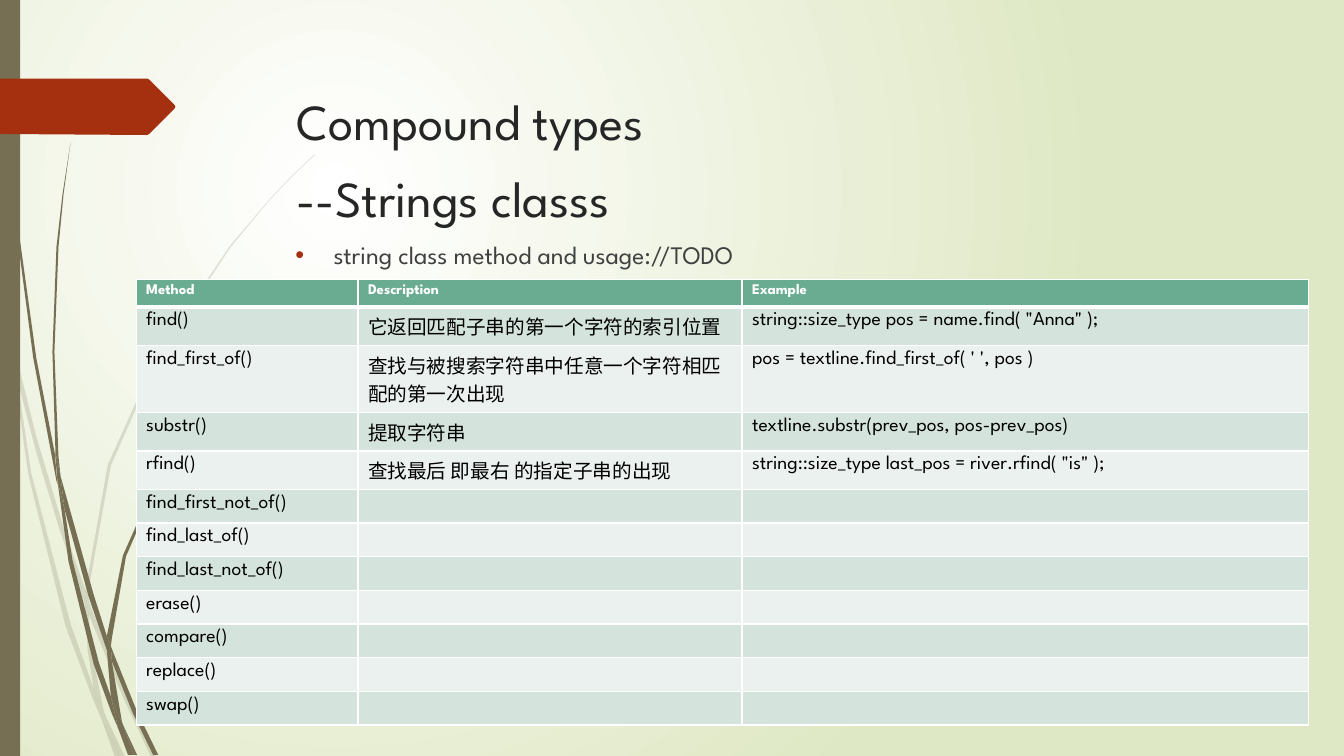
from lxml import etree
from pptx import Presentation
from pptx.dml.color import RGBColor
from pptx.enum.shapes import MSO_SHAPE
from pptx.enum.text import MSO_ANCHOR, PP_ALIGN
from pptx.oxml.ns import qn
from pptx.util import Pt

PX = 9144  # 100 px to the inch
FONT = "League Spartan"
RECT, TOP, LEFT = MSO_SHAPE.RECTANGLE, MSO_ANCHOR.TOP, PP_ALIGN.LEFT

WHITE = RGBColor(0xFF, 0xFF, 0xFF)
BLACK = RGBColor(0, 0, 0)
PALE_GREEN = RGBColor(0xDF, 0xE8, 0xC4)
OLIVE = RGBColor(0x76, 0x6F, 0x54)
RUST = RGBColor(0xA5, 0x30, 0x10)
TITLE_GREY = RGBColor(0x26, 0x26, 0x26)
BODY_GREY = RGBColor(0x40, 0x40, 0x40)
HEADER_GREEN = RGBColor(0x6A, 0xAC, 0x91)
BANDS = (RGBColor(0xD4, 0xE3, 0xDC), RGBColor(0xEB, 0xF1, 0xEE))

# Outlines of the grass blades, in px
FAINT_GRASS = [
    [(11, 350), (9, 322), (0, 282), (0, 299), (10, 344)],
    [(58, 522), (84, 599), (85, 586), (62, 520), (36, 433), (14, 345), (17, 376), (36, 449)],
    [(92, 607), (88, 596), (88, 610), (123, 694), (150, 751), (155, 751), (127, 692)],
    [(119, 751), (124, 751), (105, 711)],
    [(93, 683), (70, 619), (31, 469), (17, 376), (11, 350), (28, 470), (65, 621), (92, 693),
     (101, 714), (99, 707)],
    [(84, 599), (87, 646), (93, 683), (96, 692), (105, 711), (103, 706), (91, 646), (88, 610),
     (88, 608)],
    [(88, 584), (110, 462), (160, 349), (229, 245), (268, 198), (290, 175), (312, 154),
     (312, 153), (289, 175), (268, 197), (228, 244), (158, 348), (107, 461), (85, 584),
     (85, 586), (88, 596)],
    [(101, 714), (114, 751), (119, 751)],
    [(88, 608), (88, 610), (88, 596), (85, 586), (84, 599)],
    [(96, 692), (93, 683), (99, 707), (101, 714), (119, 751), (105, 711)],
]
DARK_GRASS = [
    [(7, 110), (17, 233), (33, 355), (56, 477), (57, 481), (55, 457), (55, 453), (36, 355),
     (19, 232), (8, 109), (5, 48), (4, 0), (3, 0), (4, 48)],
    [(88, 592), (106, 645), (106, 633), (106, 631), (93, 590), (60, 472), (64, 505)],
    [(113, 649), (110, 641), (111, 656), (132, 708), (152, 749), (157, 749), (136, 706)],
    [(110, 691), (98, 657), (72, 556), (64, 505), (57, 477), (68, 557), (93, 659), (111, 708),
     (117, 722), (116, 717)],
    [(60, 472), (58, 453), (54, 349), (58, 245), (63, 193), (70, 141), (62, 193), (56, 245),
     (52, 349), (55, 449)],
    [(133, 749), (136, 749), (122, 719)],
    [(57, 477), (64, 505), (60, 472), (55, 449), (55, 453)],
    [(111, 633), (125, 552), (158, 476), (205, 406), (231, 374), (245, 359), (261, 344),
     (260, 344), (245, 358), (231, 373), (204, 405), (156, 474), (122, 551), (106, 631),
     (110, 641)],
    [(117, 722), (127, 749), (131, 749)],
    [(106, 645), (110, 691), (116, 706), (122, 719), (121, 716), (111, 656), (109, 651)],
    [(106, 645), (109, 651), (111, 656), (110, 641), (106, 631), (106, 633)],
    [(116, 706), (110, 691), (116, 717), (117, 722), (130, 749), (133, 749), (122, 719)],
]
# Offsets from the top left corner of the ribbon
RIBBON = [(0, 0), (146, 0), (148, 1), (173, 26), (174, 28), (173, 30), (148, 55), (146, 56), (0, 55)]

METHODS = [
    ("Method", "Description", "Example"),
    ("find()", "它返回匹配子串的第一个字符的索引位置",
     'string::size_type pos = name.find( "Anna" );'),
    ("find_first_of()", "查找与被搜索字符串中任意一个字符相匹配的第一次出现",
     "pos = textline.find_first_of( ' ', pos )"),
    ("substr()", "提取字符串", "textline.substr(prev_pos, pos-prev_pos)"),
    ("rfind()", "查找最后 即最右 的指定子串的出现",
     'string::size_type last_pos = river.rfind( "is" );'),
] + [(name, "", "") for name in (
    "find_first_not_of()", "find_last_of()", "find_last_not_of()", "erase()", "compare()",
    "replace()", "swap()")]
COLUMN_WIDTHS = (220, 381, 562)
ROW_HEIGHTS = [24, 38, 67, 38, 38] + [28] * 7


def emu(*lengths):
    return [length * PX for length in lengths]


def set_font(paragraph, **values):
    color = values.pop("color")
    for key, value in values.items():
        setattr(paragraph.font, key, value)
    paragraph.font.name = FONT
    paragraph.font.color.rgb = color


def paint(shape, color, alpha=None):
    shape.shadow.inherit = False
    shape.fill.solid()
    shape.fill.fore_color.rgb = color
    shape.line.fill.background()
    if alpha:
        rgb = shape.element.spPr.find(qn("a:solidFill"))[0]
        etree.SubElement(rgb, qn("a:alpha"), val=str(alpha * 1000))


def add_outline(slide, points, color, alpha=None):
    builder = slide.shapes.build_freeform(*points[0], scale=PX)
    builder.add_line_segments(points[1:], close=True)
    paint(builder.convert_to_shape(), color, alpha)


def add_background(slide):
    fill = slide.background.fill
    fill.gradient()
    for stop, color in zip(fill.gradient_stops, (WHITE, PALE_GREEN)):
        stop.color.rgb = color
    linear = slide.element.find(".//" + qn("a:lin"))
    radial = etree.Element(qn("a:path"), path="circle")
    etree.SubElement(radial, qn("a:fillToRect"), l="50000", t="50000", r="100000", b="100000")
    linear.getparent().replace(linear, radial)


def add_decoration(slide, ribbon_top, bar_width, height):
    for blade in FAINT_GRASS:
        add_outline(slide, blade, OLIVE, 20)
    for blade in DARK_GRASS:
        add_outline(slide, blade, OLIVE)
    paint(slide.shapes.add_shape(RECT, *emu(0, 0, bar_width, height)), OLIVE)
    add_outline(slide, [(x, ribbon_top + y) for x, y in RIBBON], RUST)


def place_title(slide, left, top, width, height):
    title = slide.shapes.title
    title.left, title.top, title.width, title.height = emu(left, top, width, height)
    frame = title.text_frame
    frame.text = "Compound types\v--Strings classs"
    frame.vertical_anchor = TOP
    heading = frame.paragraphs[0]
    heading.alignment = LEFT
    heading.line_spacing = 1.27
    set_font(heading, size=Pt(36), color=TITLE_GREY)
    slide.shapes._spTree.append(title.element)  # in front of the grass


def add_bullet(slide, left, top, width, height):
    frame = slide.shapes.add_textbox(*emu(left, top, width, height)).text_frame
    frame.word_wrap = True
    usage = frame.paragraphs[0]
    usage.text = "string class method and usage://TODO"
    props = usage._p.get_or_add_pPr()
    props.set("marL", str(38 * PX))
    props.set("indent", str(-38 * PX))
    color = etree.SubElement(props, qn("a:buClr"))
    etree.SubElement(color, qn("a:srgbClr"), val=str(RUST))
    etree.SubElement(props, qn("a:buFont"), typeface="Arial")
    etree.SubElement(props, qn("a:buChar"), char="•")
    set_font(usage, size=Pt(18), color=BODY_GREY)


def add_borders(cell, **widths):
    props = cell._tc.get_or_add_tcPr()
    for side in "LRTB":
        line = etree.SubElement(props, qn("a:ln" + side), w=str(Pt(widths.get(side, 1))))
        fill = etree.SubElement(line, qn("a:solidFill"))
        etree.SubElement(fill, qn("a:srgbClr"), val=str(WHITE))


def add_methods_table(slide, left, top):
    box = emu(left, top, sum(COLUMN_WIDTHS), sum(ROW_HEIGHTS))
    table = slide.shapes.add_table(len(METHODS), len(COLUMN_WIDTHS), *box).table
    for column, width in zip(table.columns, COLUMN_WIDTHS):
        column.width = width * PX
    for r, (row, height) in enumerate(zip(table.rows, ROW_HEIGHTS)):
        row.height = height * PX
        header = r == 0
        for cell, text in zip(row.cells, METHODS[r]):
            add_borders(cell, **({"B": 3} if header else {"T": 3} if r == 1 else {}))
            cell.fill.solid()
            cell.fill.fore_color.rgb = HEADER_GREEN if header else BANDS[(r - 1) % 2]
            cell.text = text
            set_font(cell.text_frame.paragraphs[0], size=Pt(10.5 if header else 14),
                     bold=header, color=WHITE if header else BLACK)


def main():
    deck = Presentation()
    deck.slide_width, deck.slide_height = emu(1333, 750)
    slide = deck.slides.add_slide(deck.slide_layouts[5])
    add_background(slide)
    add_decoration(slide, 78, 20, 750)
    place_title(slide, 284, 68, 975, 140)
    add_bullet(slide, 283, 233, 975, 497)
    add_methods_table(slide, 135, 277)
    deck.save("out.pptx")


if __name__ == "__main__":
    main()
